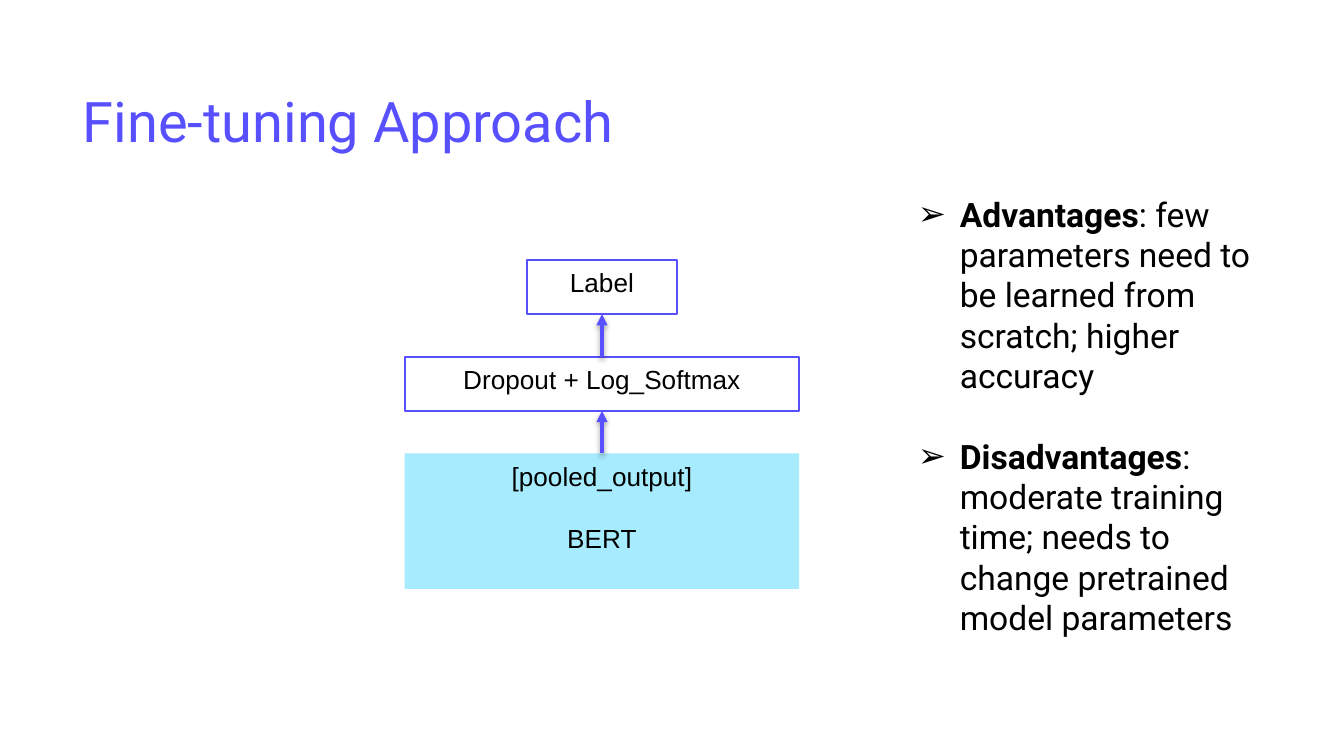
from pptx import Presentation
from pptx.dml.color import RGBColor
from pptx.enum.shapes import MSO_CONNECTOR, MSO_SHAPE
from pptx.enum.text import MSO_ANCHOR as ANCHOR, PP_ALIGN as ALIGN
from pptx.oxml import parse_xml
from pptx.oxml.ns import nsdecls
from pptx.util import Pt

VIOLET, CYAN, BLACK = "5850FF", "A7EBFE", "000000"
NS = nsdecls("a")


def rgb(hex_color):
    return RGBColor.from_string(hex_color)


def set_format(target, values):
    for name, value in values.items():
        setattr(target, name, value)


def set_font(font, name, size, color, bold=False):
    set_format(font, {"name": name, "size": Pt(size), "bold": bold})
    font.color.rgb = rgb(color)


def add_title(slide, box, text):
    title = slide.shapes.title
    set_format(title, dict(zip(("left", "top", "width", "height"), map(Pt, box))))
    tf = title.text_frame
    set_format(tf, {"vertical_anchor": ANCHOR.BOTTOM, "word_wrap": True})
    set_format(tf, {f"margin_{side}": Pt(7.2) for side in ("left", "top", "right", "bottom")})
    p = tf.paragraphs[0]
    p.alignment = ALIGN.LEFT
    r = p.add_run()
    r.text = text
    set_font(r.font, "Roboto", 30, VIOLET)


def add_block(slide, box, lines, fill=None):
    s = slide.shapes.add_shape(MSO_SHAPE.RECTANGLE, *map(Pt, box))
    s.shadow.inherit = False
    if fill:
        s.fill.solid()
        s.fill.fore_color.rgb = rgb(fill)
        s.line.fill.background()
    else:
        s.fill.background()
        s.line.color.rgb = rgb(VIOLET)
        s.line.width = Pt(1)
    tf = s.text_frame
    set_format(tf, {"vertical_anchor": ANCHOR.TOP, "word_wrap": True})
    for i, line in enumerate(lines):
        p = tf.paragraphs[0] if i == 0 else tf.add_paragraph()
        p.alignment = ALIGN.CENTER
        p.space_before = Pt(16.5 if i else 0)
        r = p.add_run()
        r.text = line
        set_font(r.font, "Arial", 14, BLACK)


def add_up_arrow(slide, x, bottom, top):
    arrow = slide.shapes.add_connector(
        MSO_CONNECTOR.STRAIGHT, Pt(x), Pt(bottom), Pt(x), Pt(top))
    arrow.line.color.rgb = rgb(VIOLET)
    arrow.line.width = Pt(2)
    arrow.line._get_or_add_ln().append(parse_xml(f'<a:tailEnd {NS} type="triangle"/>'))
    # Soft shadow below the arrow
    arrow._element.spPr.append(parse_xml(
        f'<a:effectLst {NS}><a:outerShdw blurRad="{Pt(3.1)}" dist="{Pt(1.6)}" dir="5400000" '
        f'rotWithShape="0"><a:srgbClr val="{BLACK}"><a:alpha val="38000"/></a:srgbClr>'
        '</a:outerShdw></a:effectLst>'))


def add_network(slide, box):
    left, top, width, height = box
    row_height, gap, label_width = 29, 22.8, 80.6
    center = left + width / 2
    head_top = top + row_height + gap
    bert_top = head_top + row_height + gap

    # Layers, from the encoder up to the label
    add_block(slide, (left, bert_top, width, top + height - bert_top),
              ["[pooled_output]", "BERT"], CYAN)
    add_block(slide, (left, head_top, width, row_height), ["Dropout + Log_Softmax"])
    add_block(slide, (center - label_width / 2, top, label_width, row_height), ["Label"])

    # Arrows between layers
    for layer_top in (bert_top, head_top):
        add_up_arrow(slide, center, layer_top, layer_top - gap)


def add_points(slide, box, points):
    tf = slide.shapes.add_textbox(*map(Pt, box)).text_frame
    tf.word_wrap = True
    for i, (term, details) in enumerate(points):
        p = tf.paragraphs[0] if i == 0 else tf.add_paragraph()
        p.space_before = Pt(21.5 if i else 0)
        # Hanging arrow bullet
        pPr = p._p.get_or_add_pPr()
        pPr.set("marL", str(Pt(22.5)))
        pPr.set("indent", str(-Pt(22.5)))
        for bullet in (f'<a:buClr {NS}><a:srgbClr val="{BLACK}"/></a:buClr>',
                       f'<a:buFont {NS} typeface="Arial"/>',
                       f'<a:buChar {NS} char="➢"/>'):
            pPr.append(parse_xml(bullet))
        for text, bold in ((term, True), (f": {details}", False)):
            r = p.add_run()
            r.text = text
            set_font(r.font, "Roboto", 18, BLACK, bold)


def main():
    prs = Presentation()
    set_format(prs, {"slide_width": Pt(720), "slide_height": Pt(405)})
    slide = prs.slides.add_slide(prs.slide_layouts.get_by_name("Title Only"))
    add_title(slide, (37.2, 29.2, 647.3, 60.5), "Fine-tuning Approach")
    add_network(slide, (216.8, 139.3, 211.4, 176.2))
    add_points(slide, (484.6, 100.3, 206.6, 225.4), [
        ("Advantages", "few parameters need to be learned from scratch; higher accuracy"),
        ("Disadvantages", "moderate training time; needs to change pretrained model parameters"),
    ])
    prs.save("out.pptx")


if __name__ == "__main__":
    main()
